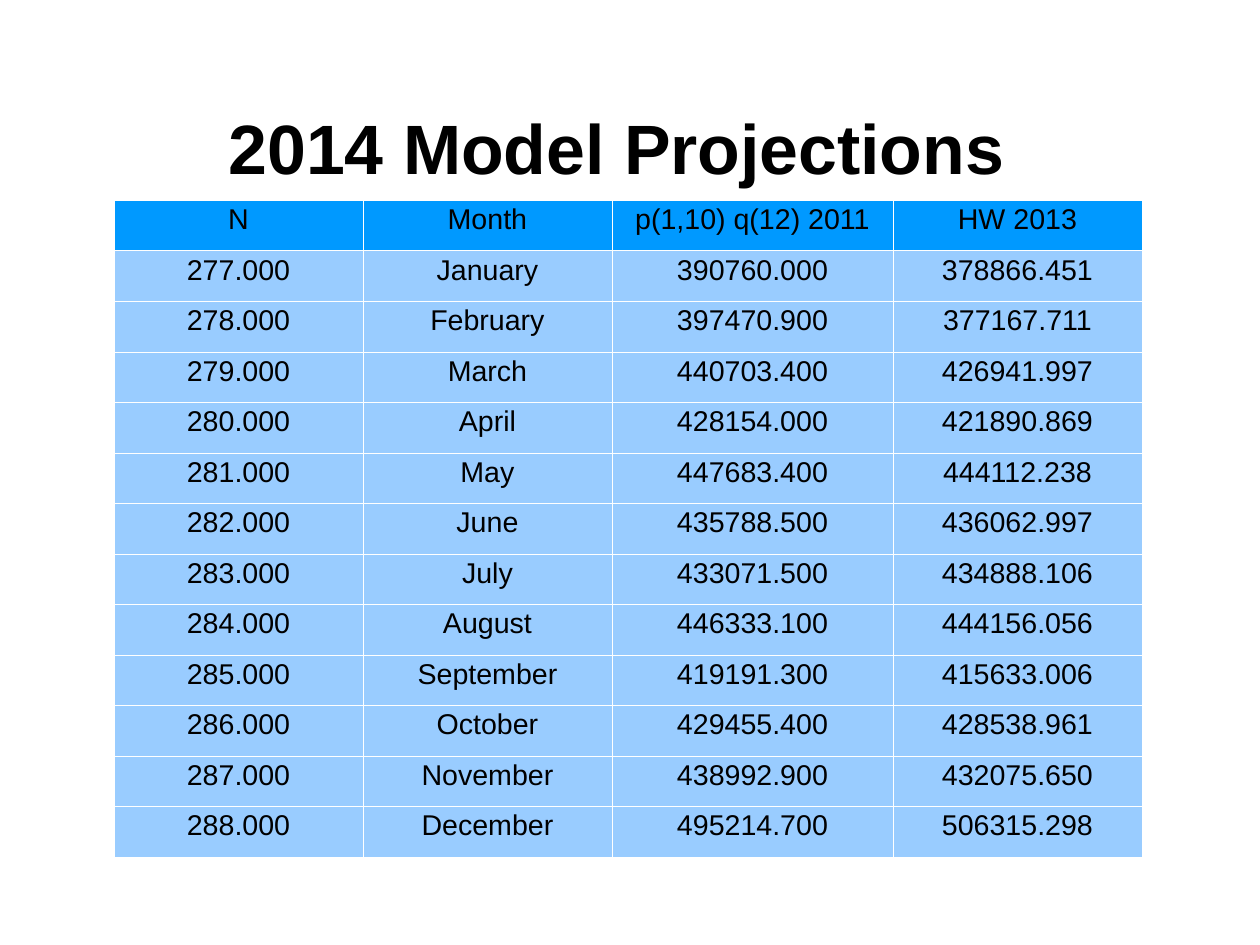
from dataclasses import dataclass

from lxml import etree
from pptx import Presentation
from pptx import util as u
from pptx.dml.color import RGBColor
from pptx.enum import text
from pptx.oxml import ns

PX = 8000  # EMU per px
BLACK = RGBColor(0x00, 0x00, 0x00)
WHITE = RGBColor(0xFF, 0xFF, 0xFF)
HEADER_BLUE = RGBColor(0x00, 0x99, 0xFF)
ROW_BLUE = RGBColor(0x99, 0xCC, 0xFF)
GRID_WIDTH = 720  # EMU, a hairline


@dataclass(frozen=True)
class Projection:
    month: str
    arma: str
    holt_winters: str


FIRST_N = 277
HEADINGS = ("N", "Month", "p(1,10) q(12) 2011", "HW 2013")
COLUMN_WIDTHS = (249, 249, 281, 249)
TABLE_HEIGHT = 657
PROJECTIONS = (
    Projection("January", "390760.000", "378866.451"),
    Projection("February", "397470.900", "377167.711"),
    Projection("March", "440703.400", "426941.997"),
    Projection("April", "428154.000", "421890.869"),
    Projection("May", "447683.400", "444112.238"),
    Projection("June", "435788.500", "436062.997"),
    Projection("July", "433071.500", "434888.106"),
    Projection("August", "446333.100", "444156.056"),
    Projection("September", "419191.300", "415633.006"),
    Projection("October", "429455.400", "428538.961"),
    Projection("November", "438992.900", "432075.650"),
    Projection("December", "495214.700", "506315.298"),
)


def px(length: int) -> u.Emu:
    return u.Emu(length * PX)


def set_all(target, values: dict) -> None:
    for name, value in values.items():
        setattr(target, name, value)


def write(frame, wording: str, size: int, bold: bool) -> None:
    frame.text = wording
    line = frame.paragraphs[0]
    set_all(line, {"alignment": text.PP_ALIGN.CENTER, "line_spacing": 0.93})
    font = line.runs[0].font
    set_all(font, {"name": "Arial", "size": u.Pt(size), "bold": bold})
    font.color.rgb = BLACK


def draw_cell(cell, wording: str, colour: RGBColor) -> None:
    write(cell.text_frame, wording, 18, False)
    # Borders come before the fill in the cell properties
    properties = cell._tc.get_or_add_tcPr()
    for side in ("a:lnL", "a:lnR", "a:lnT", "a:lnB"):
        border = etree.SubElement(properties, ns.qn(side), w=str(GRID_WIDTH))
        solid = etree.SubElement(border, ns.qn("a:solidFill"))
        etree.SubElement(solid, ns.qn("a:srgbClr"), val=str(WHITE))
    cell.fill.solid()
    cell.fill.fore_color.rgb = colour


def draw_title(slide) -> None:
    title = slide.shapes.title
    set_all(title, {"left": px(63), "top": px(70), "width": px(1108), "height": px(158)})
    frame = title.text_frame
    set_all(frame, {
        "margin_left": 0, "margin_right": 0, "margin_top": px(5), "margin_bottom": 0,
        "word_wrap": True, "auto_size": text.MSO_AUTO_SIZE.NONE,
        "vertical_anchor": text.MSO_ANCHOR.MIDDLE,
    })
    write(frame, "2014 Model Projections", 44, True)


def draw_projections(slide) -> None:
    rows = [HEADINGS] + [
        (f"{n}.000", item.month, item.arma, item.holt_winters)
        for n, item in enumerate(PROJECTIONS, FIRST_N)
    ]
    table = slide.shapes.add_table(
        len(rows), len(HEADINGS), px(114), px(200), px(sum(COLUMN_WIDTHS)), px(TABLE_HEIGHT)
    ).table
    table.horz_banding = False
    for column, width in zip(table.columns, COLUMN_WIDTHS):
        column.width = px(width)
    for index, wordings in enumerate(rows):
        table.rows[index].height = px(TABLE_HEIGHT) // len(rows)
        colour = ROW_BLUE if index else HEADER_BLUE
        for cell, wording in zip(table.rows[index].cells, wordings):
            draw_cell(cell, wording, colour)


def main() -> None:
    deck = Presentation()
    set_all(deck, {"slide_width": px(1260), "slide_height": px(945)})
    slide = deck.slides.add_slide(deck.slide_layouts[5])  # Title Only
    slide.background.fill.solid()
    slide.background.fill.fore_color.rgb = WHITE
    draw_title(slide)
    draw_projections(slide)
    deck.save("out.pptx")


if __name__ == "__main__":
    main()
